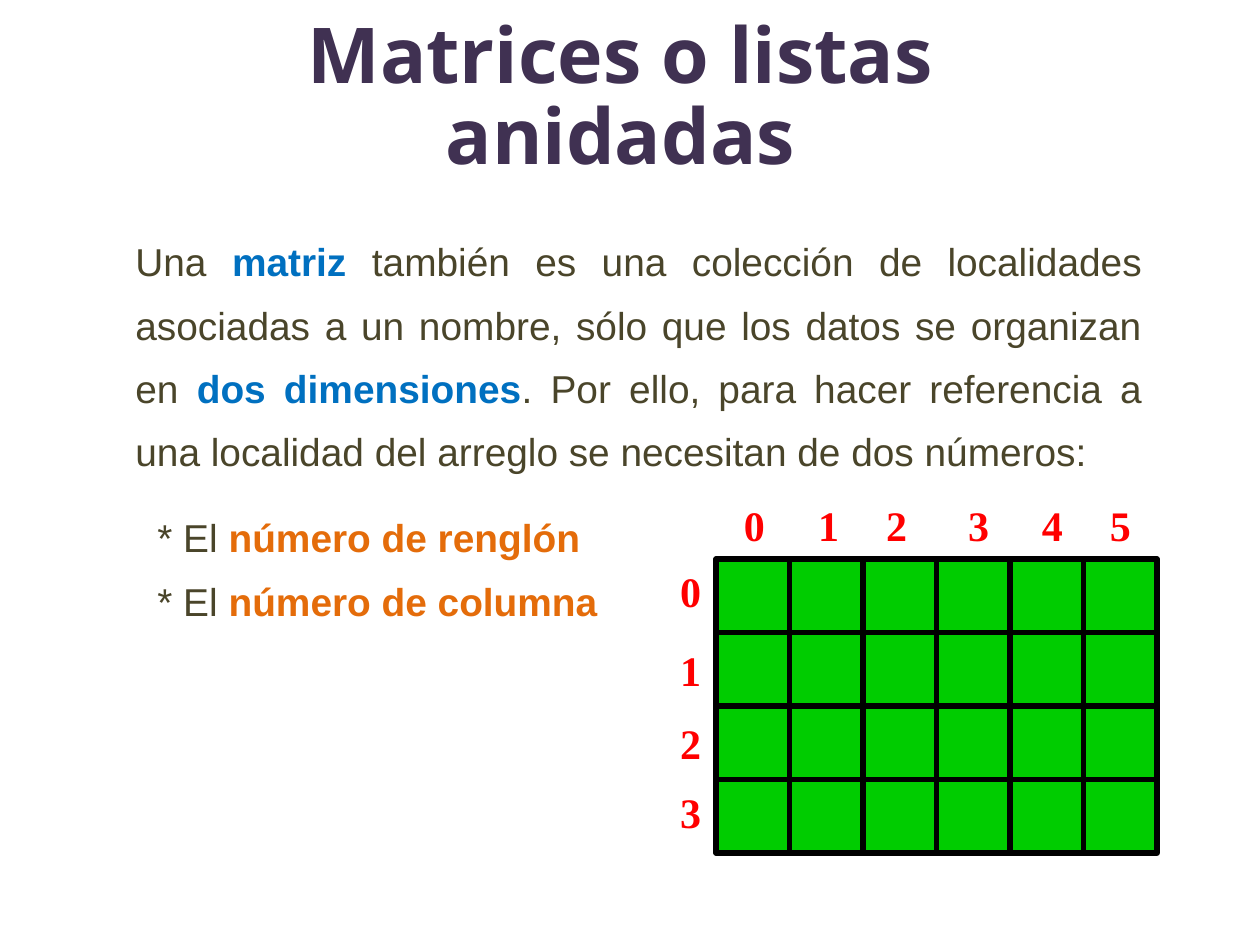
"""Build a slide that introduces matrices as nested lists."""
from dataclasses import dataclass

from pptx import Presentation
from pptx.dml.color import RGBColor
from pptx.enum.shapes import MSO_SHAPE
from pptx.enum.text import MSO_ANCHOR, PP_ALIGN
from pptx.util import Emu, Pt

PX_PER_INCH = 126


@dataclass(frozen=True)
class Theme:
    title_font: str = "Open Sans"
    body_font: str = "Arial"
    index_font: str = "Times New Roman"
    title_size: float = 44
    body_size: float = 22.2
    index_size: float = 24
    title: str = "403152"
    body: str = "4A452A"
    concept: str = "0070C0"
    axis: str = "E46C0A"
    index: str = "FF0000"
    cell: str = "00CC00"
    border: str = "000000"


THEME = Theme()


@dataclass(frozen=True)
class Box:
    left: float
    top: float
    width: float
    height: float


@dataclass(frozen=True)
class Span:
    text: str
    color: str = THEME.body
    bold: bool = False
    font: str = THEME.body_font
    size: float = THEME.body_size


@dataclass(frozen=True)
class Paragraph:
    spans: tuple[Span, ...]
    align: PP_ALIGN = PP_ALIGN.LEFT
    line_spacing: float = 1.0
    before: float = 0
    indent: int = 0


def px(value: float) -> Emu:
    return Emu(round(value * 914400 / PX_PER_INCH))


def place(box: Box) -> tuple[Emu, ...]:
    return px(box.left), px(box.top), px(box.width), px(box.height)


def add_text(slide, box: Box, paragraphs: list[Paragraph],
             anchor=MSO_ANCHOR.TOP, wrap: bool = True) -> None:
    frame = slide.shapes.add_textbox(*place(box)).text_frame
    frame.word_wrap = wrap
    frame.vertical_anchor = anchor
    for number, item in enumerate(paragraphs):
        paragraph = frame.add_paragraph() if number else frame.paragraphs[0]
        paragraph.alignment = item.align
        paragraph.line_spacing = item.line_spacing
        paragraph.space_before = Pt(item.before)
        if item.indent:
            paragraph._p.get_or_add_pPr().set("marL", str(px(item.indent)))
        for span in item.spans:
            run = paragraph.add_run()
            run.text = span.text
            run.font.name = span.font
            run.font.size = Pt(span.size)
            run.font.bold = span.bold
            run.font.color.rgb = RGBColor.from_string(span.color)


def add_index(slide, left: int, top: int, number: int) -> None:
    span = Span(str(number), THEME.index, True, THEME.index_font, THEME.index_size)
    add_text(slide, Box(left, top, 47, 63),
             [Paragraph((span,), PP_ALIGN.CENTER)], wrap=False)


def add_matrix(slide, area: Box, rows: int, columns: int) -> None:
    width, height = area.width / columns, area.height / rows
    for row in range(rows):
        for column in range(columns):
            box = Box(area.left + column * width, area.top + row * height, width, height)
            cell = slide.shapes.add_shape(MSO_SHAPE.RECTANGLE, *place(box))
            cell.shadow.inherit = False
            cell.fill.solid()
            cell.fill.fore_color.rgb = RGBColor.from_string(THEME.cell)
            cell.line.color.rgb = RGBColor.from_string(THEME.border)
            cell.line.width = Pt(3)


def axis_item(name: str, before: float = 0) -> Paragraph:
    return Paragraph((Span("* El "), Span(name, THEME.axis, True)),
                     line_spacing=1.36, before=before, indent=22)


def main() -> None:
    deck = Presentation()
    deck.slide_width, deck.slide_height = px(1260), px(945)
    slide = deck.slides.add_slide(deck.slide_layouts[6])

    definition = Paragraph((
        Span("Una "),
        Span("matriz ", THEME.concept, True),
        Span("también es una colección de localidades asociadas a un nombre, "
             "sólo que los datos se organizan en "),
        Span("dos dimensiones", THEME.concept, True),
        Span(". Por ello, para hacer referencia a una localidad del arreglo "
             "se necesitan de dos números:"),
    ), PP_ALIGN.JUSTIFY, 1.36)
    add_text(slide, Box(123, 215, 1032, 417), [
        definition,
        axis_item("número de renglón", before=12.8),
        axis_item("número de columna"),
    ])

    column_lefts = (731, 805, 873, 955, 1029, 1097)
    row_tops = (559, 638, 711, 780)
    for number, left in enumerate(column_lefts):
        add_index(slide, left, 493, number)
    add_matrix(slide, Box(716, 559, 441, 294), len(row_tops), len(column_lefts))
    for number, top in enumerate(row_tops):
        add_index(slide, 667, top, number)

    title = Span("Matrices o listas anidadas", THEME.title, True,
                 THEME.title_font, THEME.title_size)
    add_text(slide, Box(194, 47, 853, 105),
             [Paragraph((title,), PP_ALIGN.CENTER, 0.88)], MSO_ANCHOR.MIDDLE)
    deck.save("out.pptx")


main()
